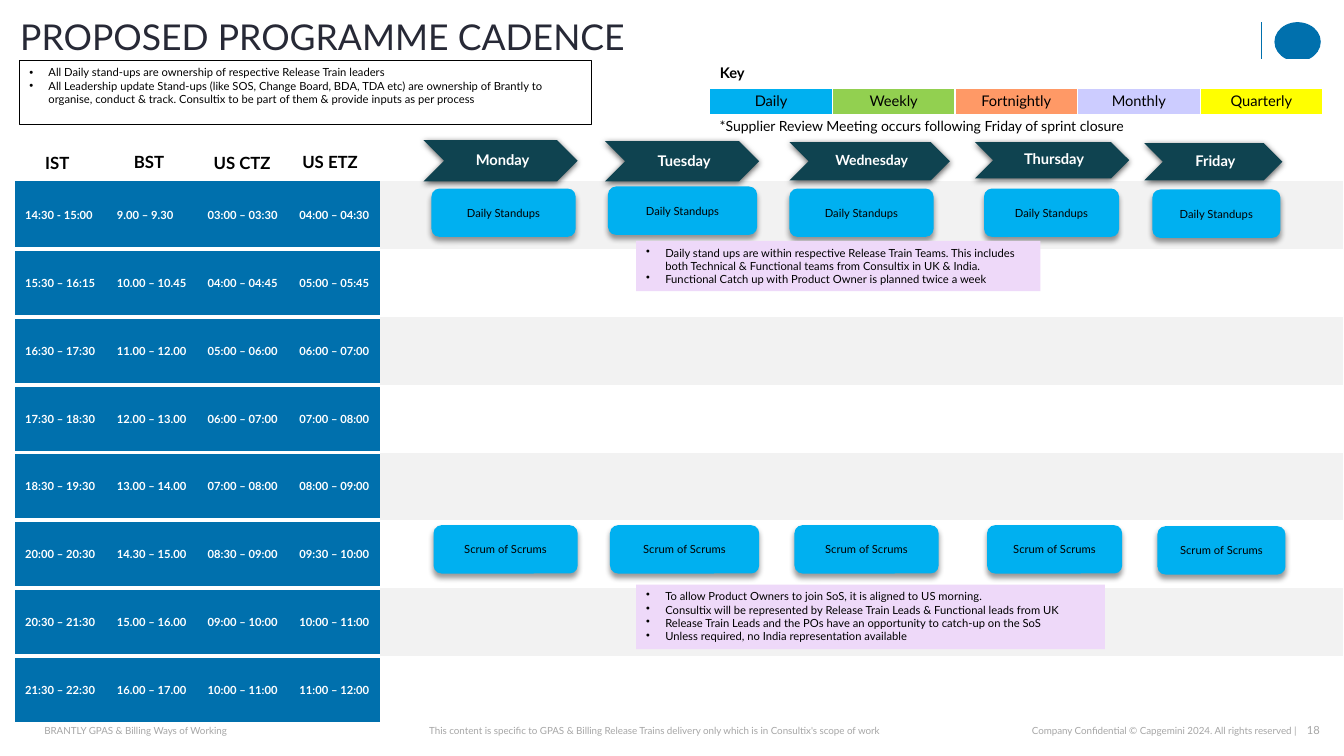
from lxml import etree
from pptx import Presentation
from pptx.dml.color import RGBColor
from pptx.enum.shapes import MSO_CONNECTOR, MSO_SHAPE
from pptx.enum.text import MSO_ANCHOR, MSO_AUTO_SIZE, PP_ALIGN
from pptx.oxml.ns import qn
from pptx.util import Pt

SCALE = 9144
FACE = "Lato"
NO_GRID = "{2D5ABB26-0587-4C30-8999-92F81FD0307C}"

LEFT, MID, RIGHT = PP_ALIGN.LEFT, PP_ALIGN.CENTER, PP_ALIGN.RIGHT
TOP, HALF = MSO_ANCHOR.TOP, MSO_ANCHOR.MIDDLE
GROW, FIXED = MSO_AUTO_SIZE.SHAPE_TO_FIT_TEXT, MSO_AUTO_SIZE.NONE
RECT, ROUND = MSO_SHAPE.RECTANGLE, MSO_SHAPE.ROUNDED_RECTANGLE
ARROW, OVAL = MSO_SHAPE.CHEVRON, MSO_SHAPE.OVAL
STRAIGHT = MSO_CONNECTOR.STRAIGHT

BLACK = RGBColor(0x00, 0x00, 0x00)
WHITE = RGBColor(0xFF, 0xFF, 0xFF)
INK = RGBColor(0x27, 0x29, 0x36)
GREY = RGBColor(0xA6, 0xA6, 0xA6)
PALE = RGBColor(0xF2, 0xF2, 0xF2)
BLUE = RGBColor(0x00, 0x70, 0xAD)
SKY = RGBColor(0x00, 0xB0, 0xF0)
TEAL = RGBColor(0x0F, 0x43, 0x50)
LILAC = RGBColor(0xEE, 0xD9, 0xF9)
LIME = RGBColor(0x92, 0xD0, 0x50)
CORAL = RGBColor(0xFF, 0x99, 0x66)
MAUVE = RGBColor(0xCC, 0xCC, 0xFF)
YELLOW = RGBColor(0xFF, 0xFF, 0x00)

KEYS = [("Daily", SKY), ("Weekly", LIME), ("Fortnightly", CORAL),
        ("Monthly", MAUVE), ("Quarterly", YELLOW)]
ZONES = [("IST", 20, 1, 52), ("BST", 108, 0, 52),
         ("US CTZ", 187, 1, 86), ("US ETZ", 275, 0, 86)]
TIMES = [
    ("14:30 - 15:00", "9.00 – 9.30", "03:00 – 03:30", "04:00 – 04:30"),
    ("15:30 – 16:15", "10.00 – 10.45", "04:00 – 04:45", "05:00 – 05:45"),
    ("16:30 – 17:30", "11.00 – 12.00", "05:00 – 06:00", "06:00 – 07:00"),
    ("17:30 – 18:30", "12.00 – 13.00", "06:00 – 07:00", "07:00 – 08:00"),
    ("18:30 – 19:30", "13.00 – 14.00", "07:00 – 08:00", "08:00 – 09:00"),
    ("20:00 – 20:30", "14.30 – 15.00", "08:30 – 09:00", "09:30 – 10:00"),
    ("20:30 – 21:30", "15.00 – 16.00", "09:00 – 10:00", "10:00 – 11:00"),
    ("21:30 – 22:30", "16.00 – 17.00", "10:00 – 11:00", "11:00 – 12:00"),
]
WIDTHS = [91, 90, 91, 90, 212, 175, 189, 197, 182]
DAYS = [("Monday", 0, 0, 153, 41, 10.5), ("Tuesday", 180, 1, 153, 40, 10.5),
        ("Wednesday", 363, 2, 159, 38, 10), ("Thursday", 547, 2, 153, 36, 10.5),
        ("Friday", 715, 3, 137, 37, 10.5)]
STANDUPS = [(0, 2, 143), (175, 0, 148), (355, 2, 143), (548, 2, 134), (715, 3, 127)]
SCRUMS = [(0, 0, 143), (175, 0, 148), (358, 0, 143), (549, 0, 134), (718, 1, 127)]
OWNERS = [
    "All Daily stand-ups are ownership of respective Release Train leaders",
    "All Leadership update Stand-ups (like SOS, Change Board, BDA, TDA etc) are ownership of "
    "Brantly to organise, conduct & track. Consultix to be part of them & provide inputs as per process",
]
TEAMS = [
    "Daily stand ups are within respective Release Train Teams. This includes both "
    "Technical & Functional teams from Consultix in UK & India.",
    "Functional Catch up with Product Owner is planned twice a week",
]
LEADS = [
    "To allow Product Owners to join SoS, it is aligned to US morning.",
    "Consultix will be represented by Release Train Leads & Functional leads from UK",
    "Release Train Leads and the POs have an opportunity to catch-up on the SoS",
    "Unless required, no India representation available",
]


def px(*sizes):
    """Turn lengths in px into EMU."""
    return [round(size * SCALE) for size in sizes]


def write(frame, lines, size, color=BLACK, bold=False, align=LEFT, bullet=False, lead=1.0):
    """Fill a text frame with equally styled paragraphs."""
    for i, line in enumerate(lines):
        para = frame.add_paragraph() if i else frame.paragraphs[0]
        para.text = line
        para.alignment = align
        para.line_spacing = lead
        para.space_before = Pt(0)
        if bullet:
            props = para._p.get_or_add_pPr()
            props.set("marL", str(px(19)[0]))
            props.set("indent", str(px(-19)[0]))
            etree.SubElement(props, qn("a:buChar")).set("char", "•")
        font = para.font
        font.name, font.size, font.bold = FACE, Pt(size), bold
        font.color.rgb = color


def setup(frame, anchor=TOP, inset=(10, 5, 10, 5), fit=FIXED):
    """Set wrapping, anchor, insets and fit of a text frame."""
    frame.word_wrap, frame.auto_size = True, fit
    frame.vertical_anchor = anchor
    (frame.margin_left, frame.margin_top,
     frame.margin_right, frame.margin_bottom) = px(*inset)


def label(slide, box, text, size, anchor=TOP, inset=(10, 5, 10, 5), fit=GROW, **look):
    """Add one line of plain text."""
    frame = slide.shapes.add_textbox(*px(*box)).text_frame
    setup(frame, anchor, inset, fit)
    write(frame, [text], size, **look)


def tile(slide, kind, box, fill, shade=None):
    """Add a filled shape, with a soft shadow if asked."""
    shape = slide.shapes.add_shape(kind, *px(*box))
    shape.shadow.inherit = False
    shape.fill.solid()
    shape.fill.fore_color.rgb = fill
    shape.line.fill.background()
    if shade:
        blur, dist, alpha = shade
        effects = shape.element.spPr.find(qn("a:effectLst"))
        cast = etree.SubElement(effects, qn("a:outerShdw"), blurRad=str(Pt(blur)),
                                dist=str(Pt(dist)), dir="5400000", rotWithShape="0")
        tint = etree.SubElement(cast, qn("a:srgbClr"), val="000000")
        etree.SubElement(tint, qn("a:alpha"), val=str(alpha * 1000))
    return shape


def note(slide, box, lines):
    """Add a lilac bulleted note."""
    frame = tile(slide, RECT, box, LILAC).text_frame
    setup(frame, fit=GROW)
    write(frame, lines, 8, bullet=True)


def grid(slide, box, rows, widths):
    """Add an unstyled table with equal rows."""
    frame = slide.shapes.add_table(rows, len(widths), *px(*box))
    table = frame.table
    table.first_row = table.horz_banding = False
    for style in frame.element.iter(qn("a:tableStyleId")):
        style.text = NO_GRID
    for col, width in zip(table.columns, widths):
        col.width = px(width)[0]
    for row in table.rows:
        row.height = px(box[3])[0] // rows
    return table


def paint(cell, fill, **edges):
    """Fill a cell and draw white edges of given widths."""
    props = cell._tc.get_or_add_tcPr()
    for side, width in edges.items():
        line = etree.SubElement(props, qn("a:ln" + side), w=str(Pt(width)))
        solid = etree.SubElement(line, qn("a:solidFill"))
        etree.SubElement(solid, qn("a:srgbClr"), val=str(WHITE))
    cell.fill.solid()
    cell.fill.fore_color.rgb = fill


def header(slide, box):
    """Place title, owner list, rule and emblem."""
    x, y, w, h = box
    title, body = slide.shapes.title, slide.placeholders[1]
    title.left, title.top, title.width, title.height = px(x + 1, y, 1150, 40)
    setup(title.text_frame, HALF, (0, 0, 0, 0))
    write(title.text_frame, ["PROPOSED PROGRAMME CADENCE"], 25.4, INK, lead=0.9)
    body.left, body.top, body.width, body.height = px(x, y + 41, 568, 50)
    body.line.color.rgb, body.line.width = BLACK, Pt(0.75)
    setup(body.text_frame, fit=GROW)
    write(body.text_frame, OWNERS, 8, bullet=True)
    rule = slide.shapes.add_connector(STRAIGHT, *px(x + w - 59, y + 3, x + w - 59, y + 46))
    rule.line.color.rgb, rule.line.width = BLUE, Pt(0.5)
    etree.SubElement(rule.element.spPr, qn("a:effectLst"))
    tile(slide, OVAL, (x + w - 46, y + 3, 46, 39), BLUE)


def legend(slide, box):
    """Place the colour key and its footnote."""
    x, y, w, h = box
    table = grid(slide, (x, y, w, 55), 2, [w / len(KEYS)] * len(KEYS))
    head = table.cell(0, 0)
    head.merge(table.cell(0, len(KEYS) - 1))
    write(head.text_frame, ["Key"], 10.5, bold=True)
    paint(head, WHITE, L=1, R=1, T=1, B=3)
    for i, (name, fill) in enumerate(KEYS):
        cell = table.cell(1, i)
        write(cell.text_frame, [name], 10.5, align=MID)
        paint(cell, fill, L=1, R=1, T=3, B=1)
    label(slide, (x, y + 53, w + 5, 27),
          "*Supplier Review Meeting occurs following Friday of sprint closure", 10)


def hours(slide, box):
    """Place zone names and the time table."""
    x, y, w, h = box
    table = grid(slide, (x, y, w, h), len(TIMES), WIDTHS)
    for i, times in enumerate(TIMES):
        for j in range(len(WIDTHS)):
            cell = table.cell(i, j)
            if j < len(times):
                cell.vertical_anchor = HALF
                write(cell.text_frame, [times[j]], 8, WHITE, bold=True)
                edges = {"T": 3, "B": 3} if i else {"B": 3}
                paint(cell, BLUE, **edges)
            else:
                paint(cell, WHITE if i % 2 else PALE)
    for name, dx, dy, wide in ZONES:
        label(slide, (x + dx, y - 34 + dy, wide, 30), name, 12, bold=True)


def meetings(slide, x, y, name, spots):
    """Place one row of daily meeting tiles."""
    for dx, dy, wide in spots:
        shape = tile(slide, ROUND, (x + dx, y + dy, wide, 48), SKY, (4, 3, 40))
        setup(shape.text_frame, HALF)
        write(shape.text_frame, [name], 8, align=MID)


def week(slide, box):
    """Place day arrows, meetings and notes."""
    x, y, w, h = box
    for name, dx, dy, wide, high, size in DAYS:
        shape = tile(slide, ARROW, (x + dx, y + dy, wide, high), TEAL, (4.5, 1.5, 63))
        setup(shape.text_frame, HALF, (24, 2, 20, 2))
        write(shape.text_frame, [name], size, WHITE, True, MID, lead=0.9)
    meetings(slide, x + 10, y + 382, "Scrum of Scrums", SCRUMS)
    note(slide, (x + 211, y + 441, 465, 64), LEADS)
    meetings(slide, x + 8, y + 46, "Daily Standups", STANDUPS)
    note(slide, (x + 211, y + 100, 401, 50), TEAMS)


def footer(slide, box):
    """Place the footer lines and page number."""
    x, y, w, h = box
    flat = {"anchor": HALF, "inset": (0, 0, 0, 0), "fit": FIXED, "color": GREY}
    label(slide, (x, y, 373, h), "BRANTLY GPAS & Billing Ways of Working", 7, **flat)
    label(slide, (x + 199, y + 1, 812, 22),
          "This content is specific to GPAS & Billing Release Trains delivery only "
          "which is in Consultix's scope of work", 7, color=GREY, align=MID)
    label(slide, (x + w - 519, y, 496, h),
          "Company Confidential © Capgemini 2024. All rights reserved |", 7, align=RIGHT, **flat)
    label(slide, (x + w - 25, y, 25, h), "18", 8, inset=(0, 5, 0, 5), color=GREY, align=RIGHT)


def main():
    """Build and save the slide."""
    deck = Presentation()
    deck.slide_width, deck.slide_height = px(1333, 750)
    slide = deck.slides.add_slide(deck.slide_layouts[1])
    header(slide, (19, 19, 1291, 91))
    footer(slide, (44, 713, 1265, 24))
    hours(slide, (15, 180, 1317, 538))
    legend(slide, (704, 59, 608, 80))
    week(slide, (420, 139, 855, 505))
    deck.save("out.pptx")


if __name__ == "__main__":
    main()
